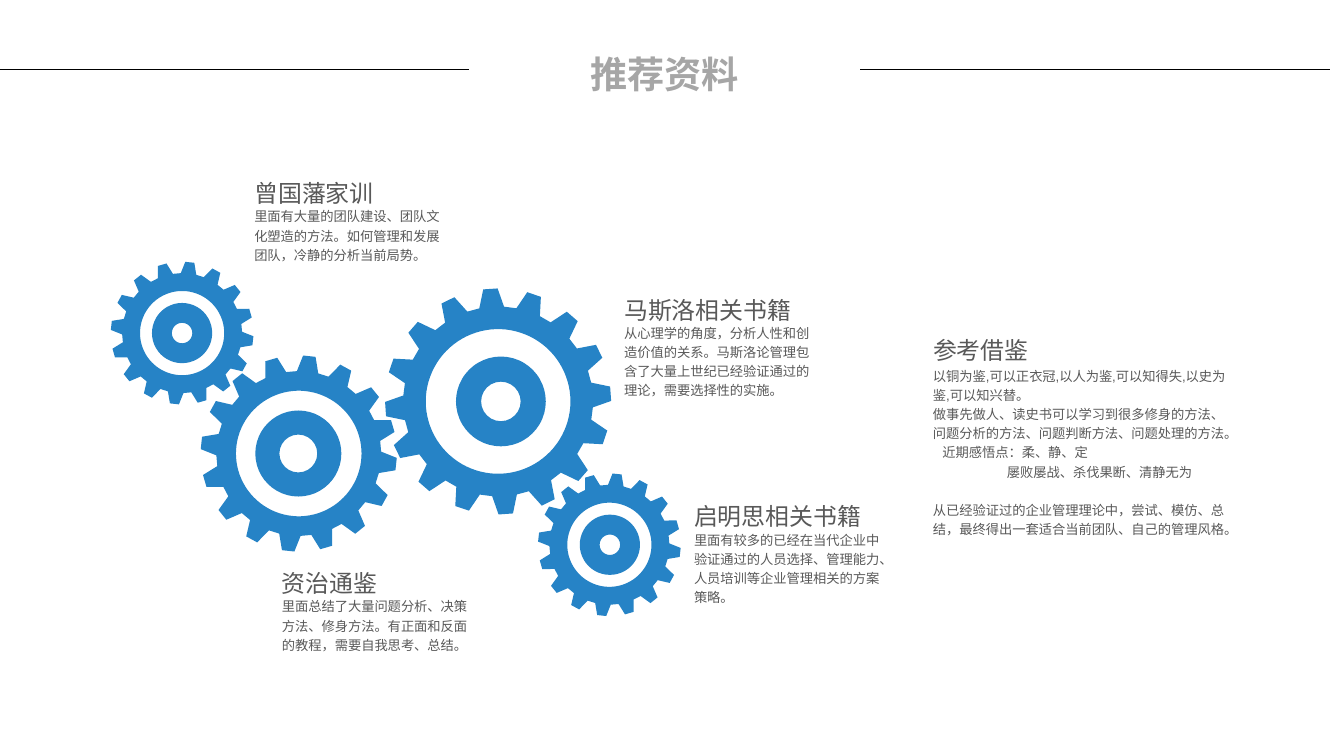
from math import cos, radians, sin

from lxml.etree import SubElement
from pptx import Presentation
from pptx.dml.color import RGBColor
from pptx.enum.lang import MSO_LANGUAGE_ID as Language
from pptx.enum.shapes import MSO_CONNECTOR as Connector, MSO_SHAPE as Shape
from pptx.enum.text import MSO_ANCHOR as Anchor, PP_ALIGN as Align
from pptx.oxml.ns import qn
from pptx.util import Inches, Pt

BLUE = RGBColor(0x26, 0x83, 0xC6)
GREY = RGBColor(0x59, 0x59, 0x59)
LIGHT_GREY = RGBColor(0xA6, 0xA6, 0xA6)
BLACK = RGBColor(0, 0, 0)
FONT = "Arial"
WIDTH, HEIGHT = Inches(14.06), Inches(7.91)

TEETH = 16
ROOT_SHARE = 0.84  # tooth root radius against tip radius
TIP_ANGLE, ROOT_ANGLE = 3.65, 7.5  # half a tooth, in degrees

# Gear centre, radius, first tooth angle, opening share, hub x, hub radius, hub ring
GEARS = [
    (22.23, 59.99, 7.3, 6.2, 0.64, 22.2, 3.2, 0.28),
    (37.06, 53.1, 8.41, -3.9, 0.64, 37.27, 3.34, 0.28),
    (13.55, 44.06, 5.31, 6.2, 0.59, 13.55, 2.24, 0.33),
    (45.34, 72.06, 5.31, 6.2, 0.59, 45.38, 2.24, 0.33),
]

BOOKS = [
    (18.92, 23.14, "曾国藩家训",
     "里面有大量的团队建设、团队文化塑造的方法。如何管理和发展团队，冷静的分析当前局势。"),
    (20.98, 74.72, "资治通鉴",
     "里面总结了大量问题分析、决策方法、修身方法。有正面和反面的教程，需要自我思考、总结。"),
    (46.44, 38.56, "马斯洛相关书籍",
     "从心理学的角度，分析人性和创造价值的关系。马斯洛论管理包含了大量上世纪已经验证通过的理论，需要选择性的实施。"),
    (51.64, 65.87, "启明思相关书籍",
     "里面有较多的已经在当代企业中验证通过的人员选择、管理能力、人员培训等企业管理相关的方案策略。"),
]

REFERENCES = [
    "以铜为鉴,可以正衣冠,以人为鉴,可以知得失,以史为鉴,可以知兴替。",
    "做事先做人、读史书可以学习到很多修身的方法、问题分析的方法、问题判断方法、问题处理的方法。",
    "近期感悟点：柔、静、定",
    "屡败屡战、杀伐果断、清静无为",
    "从已经验证过的企业管理理论中，尝试、模仿、总结，最终得出一套适合当前团队、自己的管理风格。",
]


def col(share):
    """Percent of the slide's width."""
    return round(WIDTH * share / 100)


def row(share):
    """Percent of the slide's height."""
    return round(HEIGHT * share / 100)


def format_text(frame, size, color, spacing, bold=False):
    for paragraph in frame.paragraphs:
        paragraph.line_spacing = spacing
        for run in paragraph.runs:
            font = run.font
            font.name, font.size, font.bold = FONT, Pt(size), bold
            font.color.rgb = color
            font.language_id = Language.SIMPLIFIED_CHINESE


def add_title(slide, text):
    title = slide.shapes.title
    title.left, title.top = col(29.73), row(3.16)
    title.width, title.height = col(39.4), row(10.24)
    frame = title.text_frame
    frame.text = text
    frame.vertical_anchor = Anchor.TOP
    frame.paragraphs[0].alignment = Align.CENTER
    format_text(frame, 28, LIGHT_GREY, 1.5, bold=True)


def add_rule(slide, start, end):
    y = row(9.23)
    rule = slide.shapes.add_connector(Connector.STRAIGHT, col(start), y, col(end), y)
    rule.line.color.rgb = BLACK
    rule.line.width = Pt(0.5)
    SubElement(rule.element.spPr, qn("a:effectLst"))


def add_text(slide, x, y, width, height, text, size, anchor=Anchor.TOP):
    box = slide.shapes.add_textbox(col(x), row(y), col(width), row(height))
    frame = box.text_frame
    frame.word_wrap = True
    frame.vertical_anchor = anchor
    frame.margin_left = frame.margin_right = frame.margin_top = frame.margin_bottom = 0
    frame.text = text
    format_text(frame, size, GREY, 1.2)
    return frame


def add_book(slide, x, y, name, summary):
    add_text(slide, x, y, 15, 4.05, name, 18, Anchor.MIDDLE)
    add_text(slide, x, y + 4.05, 13.94, 9.1, summary, 10)


def add_references(slide):
    x = 69.42
    add_text(slide, x, 43.74, 10.67, 4.3, "参考借鉴", 18, Anchor.MIDDLE)
    notes = add_text(slide, x, 48.29, 21.83, 35.15, "\n".join(REFERENCES), 10)
    insight, motto, summary = notes.paragraphs[2:]
    insight._p.get_or_add_pPr().set("marL", str(col(0.7)))
    motto._p.get_or_add_pPr().set("marL", str(col(5.5)))
    summary.space_before = Pt(14.4)


def paint(shape):
    shape.shadow.inherit = False
    shape.fill.solid()
    shape.fill.fore_color.rgb = BLUE
    shape.line.fill.background()


def add_gear(slide, x, y, radius, phase, opening, hub_x, hub_radius, ring):
    center_x, center_y, tip = col(x), row(y), col(radius)

    def point(angle, share):
        reach, turn = tip * share, radians(angle)
        return round(center_x + reach * cos(turn)), round(center_y + reach * sin(turn))

    # Toothed rim with a round opening
    corners = [(-ROOT_ANGLE, ROOT_SHARE), (-TIP_ANGLE, 1),
               (TIP_ANGLE, 1), (ROOT_ANGLE, ROOT_SHARE)]
    rim = [point(phase + tooth * 360 / TEETH + angle, share)
           for tooth in range(TEETH) for angle, share in corners]
    hole = [point(-angle, opening) for angle in range(0, 360, 4)]
    gear = slide.shapes.add_group_shape().shapes
    outline = gear.build_freeform(*rim[0])
    outline.add_line_segments(rim[1:])
    outline.move_to(*hole[0])
    outline.add_line_segments(hole[1:])
    paint(outline.convert_to_shape())

    # Ring at the hub
    size = col(2 * hub_radius)
    hub = gear.add_shape(Shape.DONUT, col(hub_x - hub_radius),
                         center_y - size // 2, size, size)
    hub.adjustments[0] = ring
    paint(hub)


def main():
    deck = Presentation()
    deck.slide_width, deck.slide_height = WIDTH, HEIGHT
    slide = deck.slides.add_slide(deck.slide_layouts[5])

    # Heading between two rules
    add_title(slide, "推荐资料")
    add_rule(slide, 0, 34.92)
    add_rule(slide, 64.01, 98.93)

    # Interlocking gears and their books
    for gear in GEARS:
        add_gear(slide, *gear)
    for book in BOOKS:
        add_book(slide, *book)

    # Reading notes on the right
    add_references(slide)
    deck.save("out.pptx")


if __name__ == "__main__":
    main()
